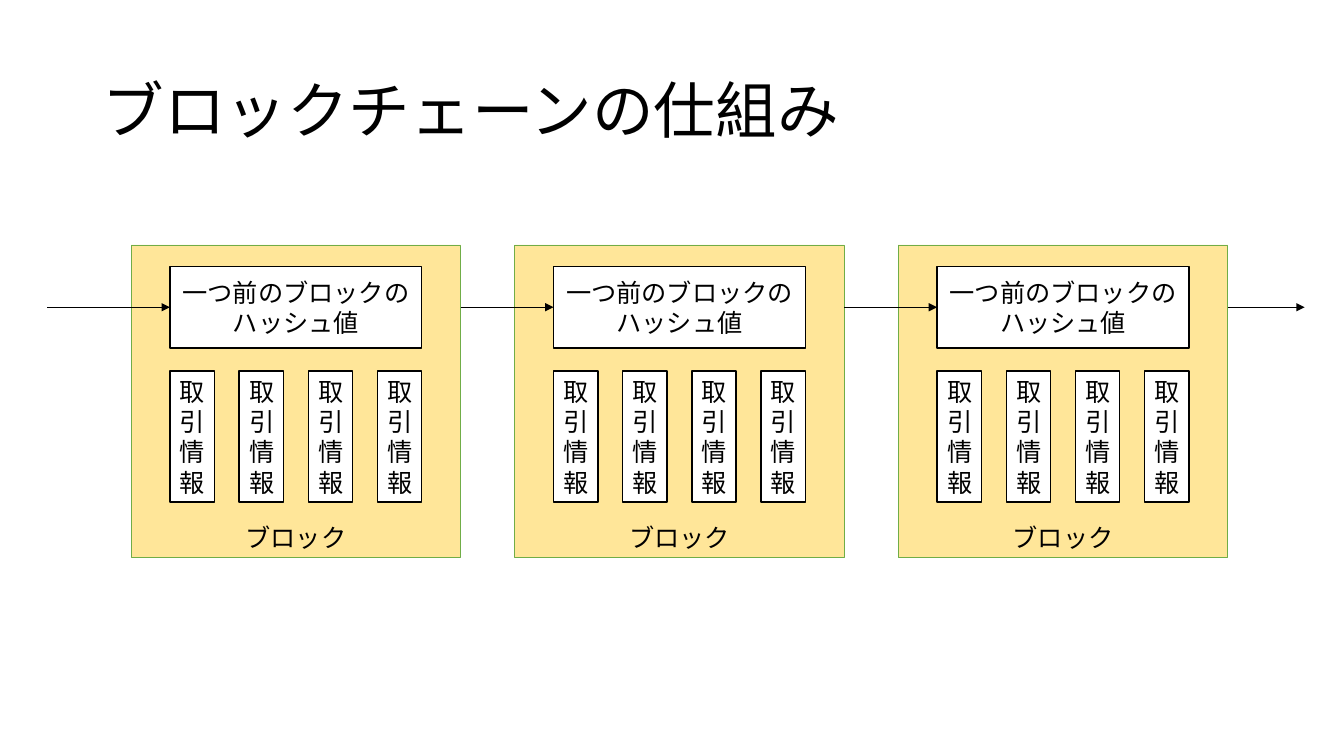
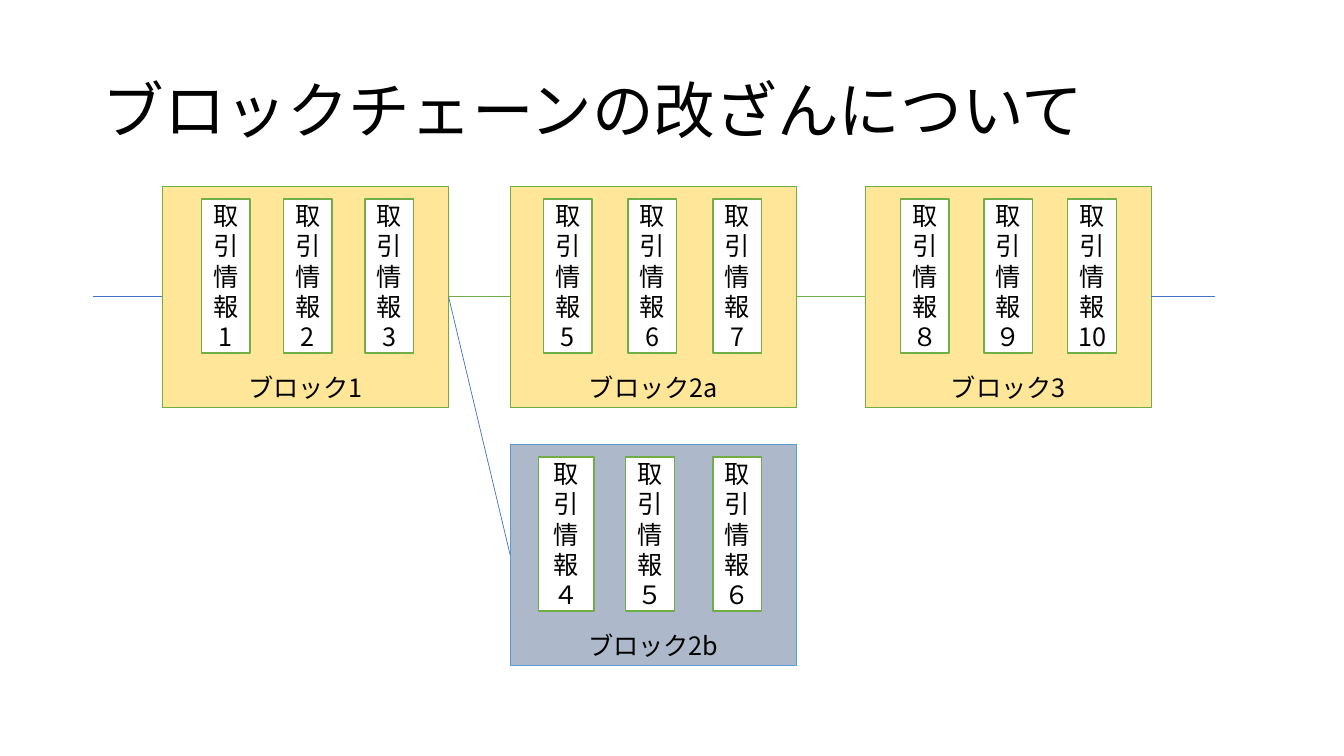
from dataclasses import dataclass

from lxml import etree
from pptx import Presentation
from pptx.dml.color import RGBColor
from pptx.enum.shapes import MSO_CONNECTOR, MSO_SHAPE
from pptx.enum.text import MSO_ANCHOR, MSO_AUTO_SIZE, PP_ALIGN
from pptx.oxml.ns import qn
from pptx.util import Inches, Pt

RECT = MSO_SHAPE.RECTANGLE
STRAIGHT = MSO_CONNECTOR.STRAIGHT
MIDDLE, BOTTOM = MSO_ANCHOR.MIDDLE, MSO_ANCHOR.BOTTOM
LEFT, CENTER = PP_ALIGN.LEFT, PP_ALIGN.CENTER
NO_FIT = MSO_AUTO_SIZE.NONE


@dataclass(frozen=True)
class Theme:
    font: str = "Noto Sans CJK JP"
    title_size: int = 44
    body_size: int = 18
    ink: str = "000000"
    paper: str = "FFFFFF"
    block: str = "FFE699"
    fork: str = "ADB9CA"
    green: str = "70AD47"
    sky: str = "5B9BD5"
    blue: str = "4472C4"
    thin: float = 0.5
    edge: float = 1


@dataclass(frozen=True)
class Box:
    x: float
    y: float
    w: float
    h: float

    def share(self, x, y, w, h):
        return Box(self.x + self.w * x / 100, self.y + self.h * y / 100,
                   self.w * w / 100, self.h * h / 100)

    def emu(self):
        return [Inches(v) for v in (self.x, self.y, self.w, self.h)]

    @property
    def right(self):
        return self.x + self.w

    @property
    def mid(self):
        return self.y + self.h / 2


T = Theme()
PAGE = Box(0, 0, 13.33, 7.5)


def rgb(color):
    return RGBColor.from_string(color)


def write(tf, text, size, align, anchor):
    tf.text = text
    tf.word_wrap = True
    tf.auto_size = NO_FIT
    tf.vertical_anchor = anchor
    p = tf.paragraphs[0]
    p.alignment = align
    p.font.size = Pt(size)
    p.font.name = T.font
    p.font.color.rgb = rgb(T.ink)
    latin = next(p._p.iter(qn("a:latin")))
    latin.addnext(etree.Element(qn("a:ea"), typeface=T.font))
    return p


def add_rect(shapes, box, text, fill, line, width, anchor=MIDDLE):
    sp = shapes.add_shape(RECT, *box.emu())
    sp.shadow.inherit = False
    sp.fill.solid()
    sp.fill.fore_color.rgb = rgb(fill)
    sp.line.color.rgb = rgb(line)
    sp.line.width = Pt(width)
    write(sp.text_frame, text, T.body_size, CENTER, anchor)


def add_line(s, start, end, color, arrow=False):
    cx = s.shapes.add_connector(STRAIGHT, *[Inches(v) for v in (*start, *end)])
    cx.line.color.rgb = rgb(color)
    cx.line.width = Pt(T.thin)
    props = cx._element.spPr
    if arrow:
        etree.SubElement(props.find(qn("a:ln")), qn("a:tailEnd"), type="triangle")
    etree.SubElement(props, qn("a:effectLst"))


def add_titled_slide(prs, title):
    s = prs.slides.add_slide(prs.slide_layouts[5])
    sp = s.shapes.title
    sp.left, sp.top, sp.width, sp.height = PAGE.share(6.88, 5.33, 86.27, 19.33).emu()
    p = write(sp.text_frame, title, T.title_size, LEFT, MIDDLE)
    p.line_spacing = 0.9
    return s


def add_hash_block(s, box):
    shapes = s.shapes.add_group_shape().shapes
    add_rect(shapes, box, "ブロック", T.block, T.green, T.thin, BOTTOM)
    inner = box.share(11.8, 0, 76.4, 100)
    hash_box = inner.share(0, 6.9, 100, 26.1)
    add_rect(shapes, hash_box, "一つ前のブロックのハッシュ値", T.paper, T.ink, T.edge)
    slots, slot_w = 4, 17.6
    pitch = (100 - slot_w) / (slots - 1)
    for i in range(slots):
        add_rect(shapes, inner.share(i * pitch, 40.4, slot_w, 41.9),
                 "取引情報", T.paper, T.ink, T.edge)
    return hash_box


def add_record_block(s, box, name, records, inset, fill, line, first_w=17):
    add_rect(s.shapes, box, f"ブロック{name}", fill, line, T.thin, BOTTOM)
    slot_w, right = 17, 87.8
    pitch = (right - slot_w - inset) / (len(records) - 1)
    for i, record in enumerate(records):
        slot = box.share(inset + i * pitch, 5.6, slot_w if i else first_w, 69.8)
        add_rect(s.shapes, slot, f"取引情報{record}", T.paper, T.green, T.edge)


def build_mechanism(prs):
    s = add_titled_slide(prs, "ブロックチェーンの仕組み")
    blocks = [PAGE.share(9.75 + 28.54 * i, 32.4, 24.53, 41.33) for i in range(3)]
    hashes = [add_hash_block(s, box) for box in blocks]
    left, _, width, _ = 3.53, 0, 93.54, 0
    span = PAGE.share(left, 0, width, 100)
    starts = [span.x] + [box.right for box in blocks]
    ends = [box.x for box in hashes] + [span.right]
    y = hashes[0].mid
    for start, end in zip(starts, ends):
        add_line(s, (start, y), (end, y), T.ink, arrow=True)


def build_tampering(prs):
    s = add_titled_slide(prs, "ブロックチェーンの改ざんについて")
    top, low, w, h = 24.67, 58.8, 21.3, 29.2
    first, second, third = [PAGE.share(x, top, w, h) for x in (12.08, 37.96, 64.37)]
    fork = PAGE.share(37.96, low, w, h)
    add_record_block(s, first, "1", ("1", "2", "3"), 13.7, T.block, T.green)
    add_record_block(s, second, "2a", ("5", "6", "7"), 11.6, T.block, T.green)
    add_record_block(s, fork, "2b", ("４", "５", "６"), 9.9, T.fork, T.sky, 19.4)
    add_record_block(s, third, "3", ("８", "９", "10"), 12.3, T.block, T.green)
    span = PAGE.share(6.9, 0, 83.5, 100)
    y = first.mid
    for start, end, color in (
        ((first.right, y), (second.x, y), T.green),
        ((second.right, y), (third.x, y), T.green),
        ((first.right, y), (fork.x, fork.mid), T.blue),
        ((first.x, y), (span.x, y), T.blue),
        ((third.right, y), (span.right, y), T.blue),
    ):
        add_line(s, start, end, color)


prs = Presentation()
prs.slide_width, prs.slide_height = Inches(PAGE.w), Inches(PAGE.h)
build_mechanism(prs)
build_tampering(prs)
prs.save("out.pptx")
